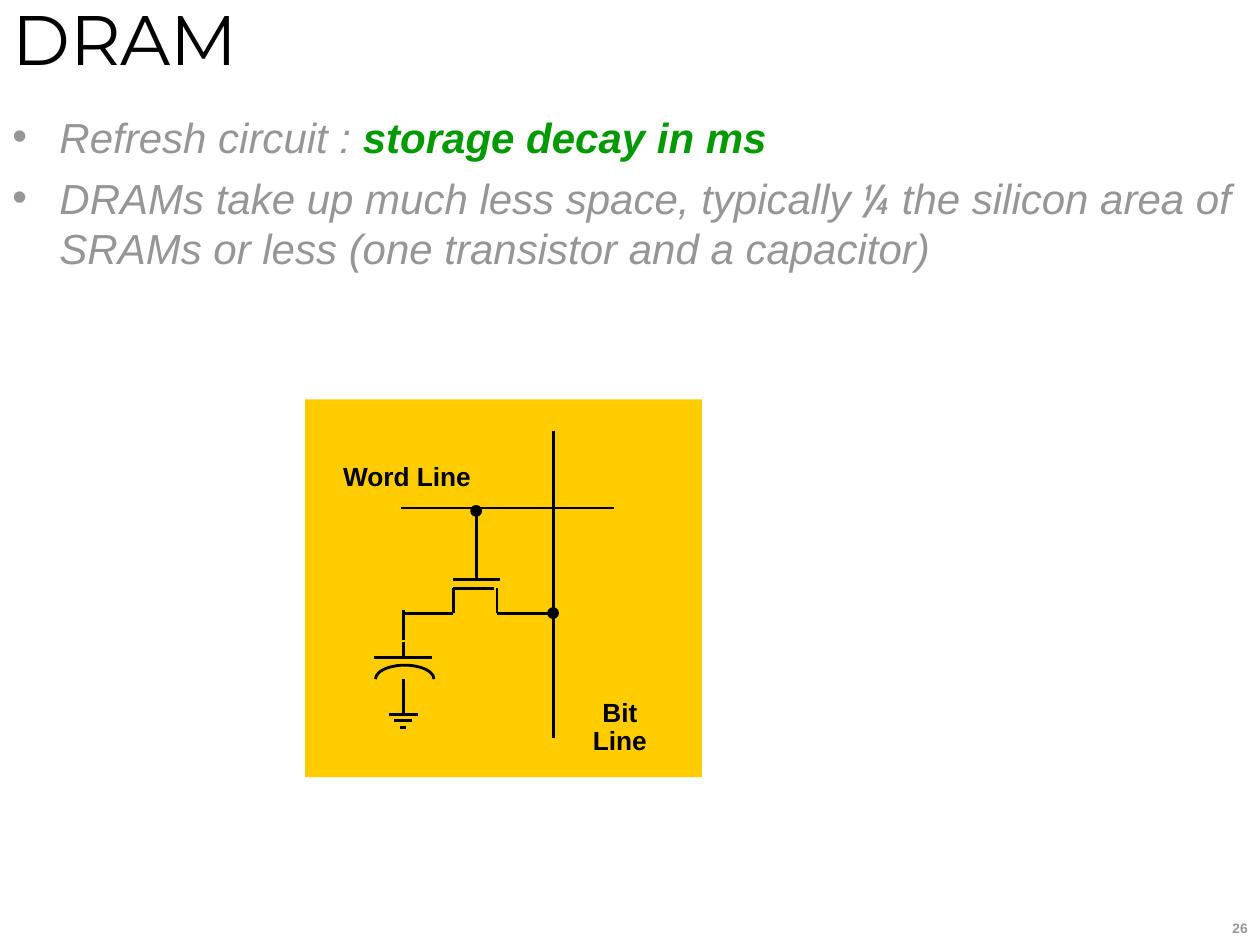
from lxml.etree import SubElement
from pptx import Presentation
from pptx.dml.color import RGBColor
from pptx.enum.shapes import MSO_CONNECTOR, MSO_SHAPE
from pptx.enum.text import MSO_ANCHOR, PP_ALIGN
from pptx.oxml.ns import qn
from pptx.util import Cm, Pt

COLORS = {"black": "000000", "gray": "969696", "green": "009900", "panel": "FFCC00"}
LINE_WIDTH = Pt(1.62)

TITLE = "DRAM"
PAGE_NUMBER = "26"
# Each run: text, font, colour, bold
BULLETS = [
    [("Refresh circuit :", "Arial", "gray", False),
     (" storage decay in ms", "Arial", "green", True)],
    [("DRAMs take up much less space, typically ", "Arial", "gray", False),
     ("¼", "Cabin", "gray", False),
     (" the silicon area of SRAMs or less (one transistor and a capacitor)",
      "Arial", "gray", False)],
]

# Circuit coordinates in centimetres
PANEL = (6.15, 8.05, 8, 7.62)
CAPACITOR_X, SOURCE_X, GATE_X, DRAIN_X, BIT_X = 8.13, 9.14, 9.6, 10.02, 11.15
WORD_Y, GATE_Y, CHANNEL_Y, TERMINAL_Y = 10.24, 11.68, 11.86, 12.36
PLATE_Y, ARC_BASE_Y, GROUND_Y = 13.26, 13.69, 14.4
ARC_CENTER_X, ARC_RADIUS_X, ARC_RADIUS_Y = 8.16, 0.59, 0.28
DOT_SIZE = 0.18
GROUND_STEP = 0.13
GROUND_HALF_WIDTHS = [0.29, 0.18, 0.06]

WIRES = [
    (CAPACITOR_X, TERMINAL_Y, SOURCE_X, TERMINAL_Y),
    (SOURCE_X, TERMINAL_Y, SOURCE_X, CHANNEL_Y),
    (SOURCE_X, CHANNEL_Y, 9.96, CHANNEL_Y),
    (DRAIN_X, CHANNEL_Y, DRAIN_X, TERMINAL_Y),
    (DRAIN_X, TERMINAL_Y, BIT_X, TERMINAL_Y),
    (SOURCE_X, GATE_Y, 10.08, GATE_Y),
    (GATE_X, GATE_Y, GATE_X, WORD_Y),
    (8.08, WORD_Y, 12.37, WORD_Y),
    (BIT_X, 8.69, BIT_X, 14.88),
    (CAPACITOR_X, 12.29, CAPACITOR_X, 12.9),
    (CAPACITOR_X, 12.95, CAPACITOR_X, PLATE_Y),
    (7.54, PLATE_Y, 8.71, PLATE_Y),
    (CAPACITOR_X, ARC_BASE_Y, CAPACITOR_X, GROUND_Y),
]
for index, half_width in enumerate(GROUND_HALF_WIDTHS):
    bar_y = GROUND_Y + index * GROUND_STEP
    WIRES.append((CAPACITOR_X - half_width, bar_y, CAPACITOR_X + half_width, bar_y))

JUNCTIONS = [(BIT_X, TERMINAL_Y), (GATE_X, 10.3)]
LABELS = [("Word Line", (6.91, 9.35, 2.59, 0.58)),
          ("Bit Line", (11.53, 14.1, 1.93, 0.58))]


def color(name):
    return RGBColor.from_string(COLORS[name])


def add_text_box(slide, box, inset=(0.25, 0.13), wrap=True, anchor=MSO_ANCHOR.TOP):
    frame = slide.shapes.add_textbox(*map(Cm, box)).text_frame
    frame.word_wrap = wrap
    frame.vertical_anchor = anchor
    frame.margin_left = frame.margin_right = Cm(inset[0])
    frame.margin_top = frame.margin_bottom = Cm(inset[1])
    return frame


def add_run(paragraph, text, size, font="Arial", fill="black", bold=False, italic=False):
    run = paragraph.add_run()
    run.text = text
    run.font.name = font
    run.font.size = Pt(size)
    run.font.bold = bold
    run.font.italic = italic
    run.font.color.rgb = color(fill)


def add_bullet(paragraph):
    properties = paragraph._p.get_or_add_pPr()
    properties.set("marL", str(Cm(0.95)))
    properties.set("indent", str(-Cm(0.95)))
    bullet_color = SubElement(properties, qn("a:buClr"))
    SubElement(bullet_color, qn("a:srgbClr"), val=COLORS["gray"])
    SubElement(properties, qn("a:buFont"), typeface="Arial")
    SubElement(properties, qn("a:buChar"), char="•")


def add_preset(slide, kind, box, fill=None, outline=None):
    shape = slide.shapes.add_shape(kind, *map(Cm, box))
    shape.shadow.inherit = False
    if fill:
        shape.fill.solid()
        shape.fill.fore_color.rgb = color(fill)
    else:
        shape.fill.background()
    if outline:
        shape.line.color.rgb = color(outline)
        shape.line.width = LINE_WIDTH
    else:
        shape.line.fill.background()
    return shape


def add_wire(slide, ends):
    wire = slide.shapes.add_connector(MSO_CONNECTOR.STRAIGHT, *map(Cm, ends))
    wire.line.color.rgb = color("black")
    wire.line.width = LINE_WIDTH
    SubElement(wire._element.spPr, qn("a:effectLst"))


def add_circuit(slide):
    add_preset(slide, MSO_SHAPE.RECTANGLE, PANEL, "panel")
    for ends in WIRES:
        add_wire(slide, ends)
    arc_box = (ARC_CENTER_X - ARC_RADIUS_X, ARC_BASE_Y - ARC_RADIUS_Y,
               2 * ARC_RADIUS_X, 2 * ARC_RADIUS_Y)
    arc = add_preset(slide, MSO_SHAPE.ARC, arc_box, outline="black")
    arc.adjustments[0] = 108  # 180 degrees, in units of 100000/60000 degree
    arc.adjustments[1] = 0
    for x, y in JUNCTIONS:
        dot_box = (x - DOT_SIZE / 2, y - DOT_SIZE / 2, DOT_SIZE, DOT_SIZE)
        add_preset(slide, MSO_SHAPE.OVAL, dot_box, "black", "black")
    for text, box in LABELS:
        paragraph = add_text_box(slide, box, inset=(0, 0), wrap=False).paragraphs[0]
        paragraph.alignment = PP_ALIGN.CENTER
        paragraph.line_spacing = 0.9
        add_run(paragraph, text, 15, bold=True)


def main():
    presentation = Presentation()
    presentation.slide_width, presentation.slide_height = Cm(25.4), Cm(19.05)
    slide = presentation.slides.add_slide(presentation.slide_layouts[6])

    title = add_text_box(slide, (0, -0.2, 25.4, 1.9), anchor=MSO_ANCHOR.MIDDLE)
    add_run(title.paragraphs[0], TITLE, 40, font="Montserrat")

    body = add_text_box(slide, (0, 2.11, 25.4, 15.67))
    for index, runs in enumerate(BULLETS):
        paragraph = body.add_paragraph() if index else body.paragraphs[0]
        add_bullet(paragraph)
        if index:
            paragraph.space_before = Pt(6)
        for text, font, fill, bold in runs:
            add_run(paragraph, text, 24, font, fill, bold, italic=True)

    add_circuit(slide)

    number = add_text_box(slide, (20.12, 18.42, 5.28, 0.63)).paragraphs[0]
    number.alignment = PP_ALIGN.RIGHT
    add_run(number, PAGE_NUMBER, 7.8, fill="gray", bold=True)

    presentation.save("out.pptx")


if __name__ == "__main__":
    main()
